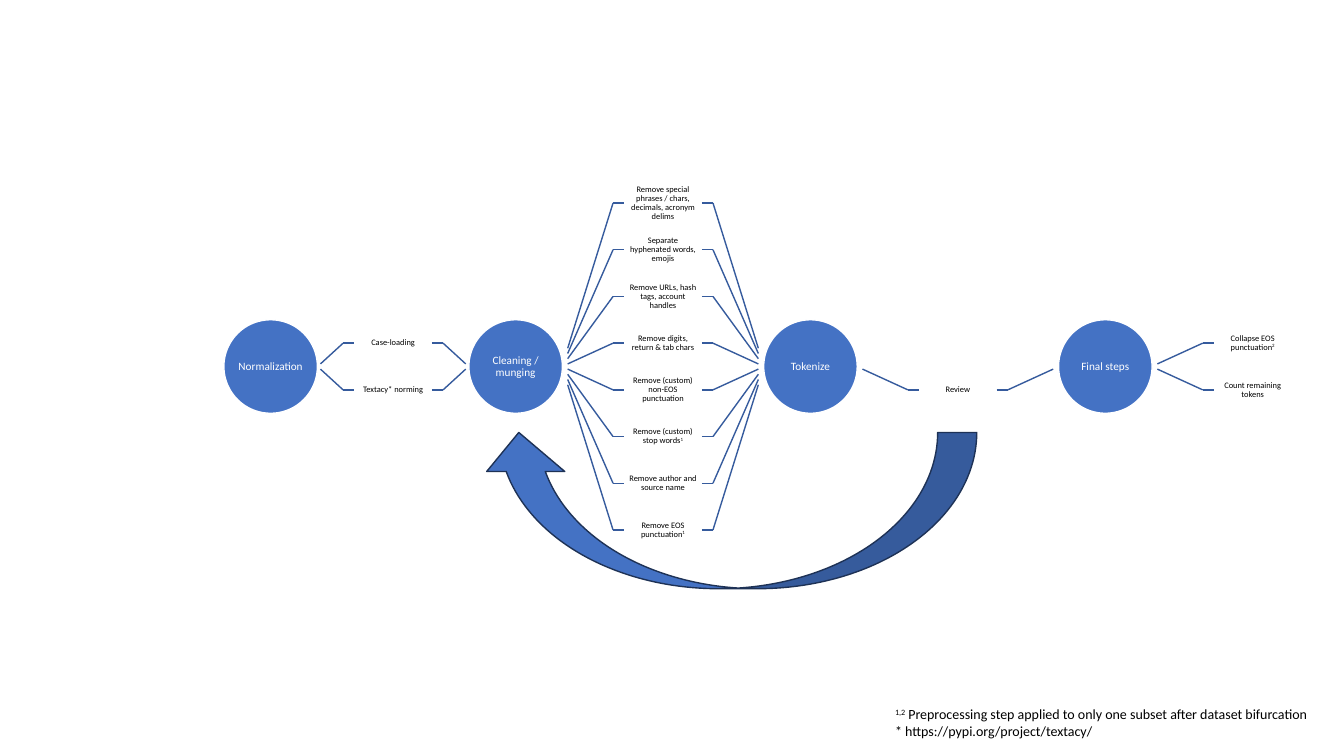
import pptx
import pptx.util
import pptx.dml.color
import pptx.enum.shapes
import pptx.enum.text
import lxml.etree

Pt = pptx.util.Pt
RGB = pptx.dml.color.RGBColor.from_string
KIND = pptx.enum.shapes.MSO_SHAPE
INK = {"blue": "4472C4", "wire": "365B9D", "edge": "1E3256",
       "white": "FFFFFF", "black": "000000"}

MID = 261.8  # height of the flow's axis
DIA = 66.8
ROW = 33.36
FAN = 3.72  # spacing of the wires where they meet a circle
WIDE = 55.4
STUB = 8

# stage, its steps, gap beside the circle, run of the slanted wires
STAGES = [
    ("Normalization", ["Case-loading", "Textacy* norming"], 2.2, 16.2),
    ("Cleaning / munging", [
        "Remove special phrases / chars, decimals, acronym delims",
        "Separate hyphenated words, emojis",
        "Remove URLs, hash tags, account handles",
        "Remove digits, return & tab chars",
        "Remove (custom) non-EOS punctuation",
        "Remove (custom) stop words^1",
        "Remove author and source name",
        "Remove EOS punctuation^1"], 3.8, 32.4),
    ("Tokenize", ["Review"], 3.8, 32.4),
    ("Final steps", ["Collapse EOS punctuation^2", "Count remaining tokens"],
     3.8, 32.4),
]

deck = pptx.Presentation()
deck.slide_width, deck.slide_height = Pt(960), Pt(540)
slide = deck.slides.add_slide(deck.slide_layouts[6])
shapes = slide.shapes


def wire(x1, y1, x2, y2):
    """Draw one thin straight line without a shadow."""
    line = shapes.add_connector(pptx.enum.shapes.MSO_CONNECTOR.STRAIGHT,
                                Pt(x1), Pt(y1), Pt(x2), Pt(y2))
    line.line.color.rgb = RGB(INK["wire"])
    line.line.width = Pt(1)
    tag = pptx.oxml.ns.qn("a:effectLst")
    lxml.etree.SubElement(line._element.spPr, tag)


def label(shape, text, size, ink, inset):
    """Centre text in a shape; what follows a caret is raised."""
    frame = shape.text_frame
    frame.word_wrap = True
    frame.vertical_anchor = pptx.enum.text.MSO_ANCHOR.MIDDLE
    frame.margin_left = frame.margin_right = Pt(inset)
    frame.margin_top = frame.margin_bottom = Pt(inset)
    para = frame.paragraphs[0]
    para.alignment = pptx.enum.text.PP_ALIGN.CENTER
    para.line_spacing = 0.9
    for part, piece in enumerate(text.split("^")):
        run = para.add_run()
        run.text = piece
        run.font.size, run.font.name = Pt(size), "Calibri"
        run.font.color.rgb = RGB(INK[ink])
        if part:
            run._r.get_or_add_rPr().set("baseline", "30000")


left = 159.9
for stage, steps, gap, reach in STAGES:
    disc = shapes.add_shape(KIND.OVAL, Pt(left), Pt(MID - DIA / 2),
                            Pt(DIA), Pt(DIA))
    disc.shadow.inherit = False
    disc.fill.solid()
    disc.fill.fore_color.rgb = RGB(INK["blue"])
    disc.line.color.rgb = RGB(INK["white"])
    disc.line.width = Pt(1)
    label(disc, stage, 8, "white", 0)

    start = left + DIA + gap
    bend = start + reach
    box = bend + STUB
    end = box + WIDE
    for i, step in enumerate(steps):
        shift = i + 0.5 - len(steps) // 2
        near, far = MID + shift * FAN, MID + shift * ROW
        wire(start, near, bend, far)
        wire(bend, far, box, far)
        note = shapes.add_textbox(Pt(box), Pt(far - ROW / 2), Pt(WIDE), Pt(ROW))
        label(note, step, 6, "black", 3.6)
        if stage != STAGES[-1][0]:
            wire(end, far, end + STUB, far)
            wire(end + STUB, far, end + STUB + reach, near)
    left = end + STUB + reach + gap

loop = shapes.add_shape(KIND.CURVED_UP_ARROW, Pt(342.7), Pt(308.9),
                        Pt(355), Pt(111.6))
loop._element.spPr.xfrm.set("flipH", "1")
loop.shadow.inherit = False
loop.fill.solid()
loop.fill.fore_color.rgb = RGB(INK["blue"])
loop.line.color.rgb = RGB(INK["edge"])
loop.line.width = Pt(1)

foot = shapes.add_textbox(Pt(632.2), Pt(500.4), Pt(315.4), Pt(31.7))
frame = foot.text_frame
frame.word_wrap = False
frame.auto_size = pptx.enum.text.MSO_AUTO_SIZE.SHAPE_TO_FIT_TEXT
first, second = frame.paragraphs[0], frame.add_paragraph()
first.text = "1,2"
first.runs[0]._r.get_or_add_rPr().set("baseline", "30000")
first.add_run().text = (" Preprocessing step applied to only one subset"
                        " after dataset bifurcation")
second.text = "* https://pypi.org/project/textacy/"
for run in first.runs + second.runs:
    run.font.size, run.font.name = Pt(10), "Calibri"
    run.font.color.rgb = RGB(INK["black"])

deck.save("out.pptx")
